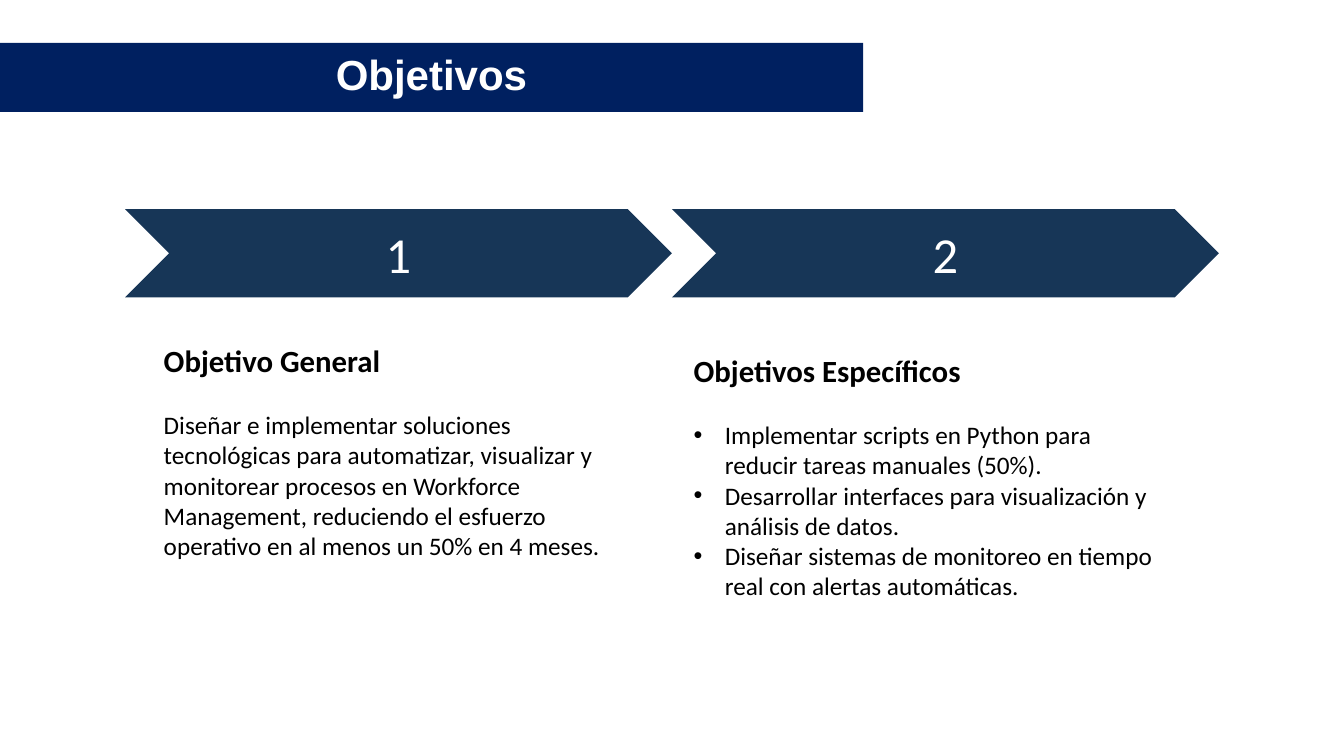
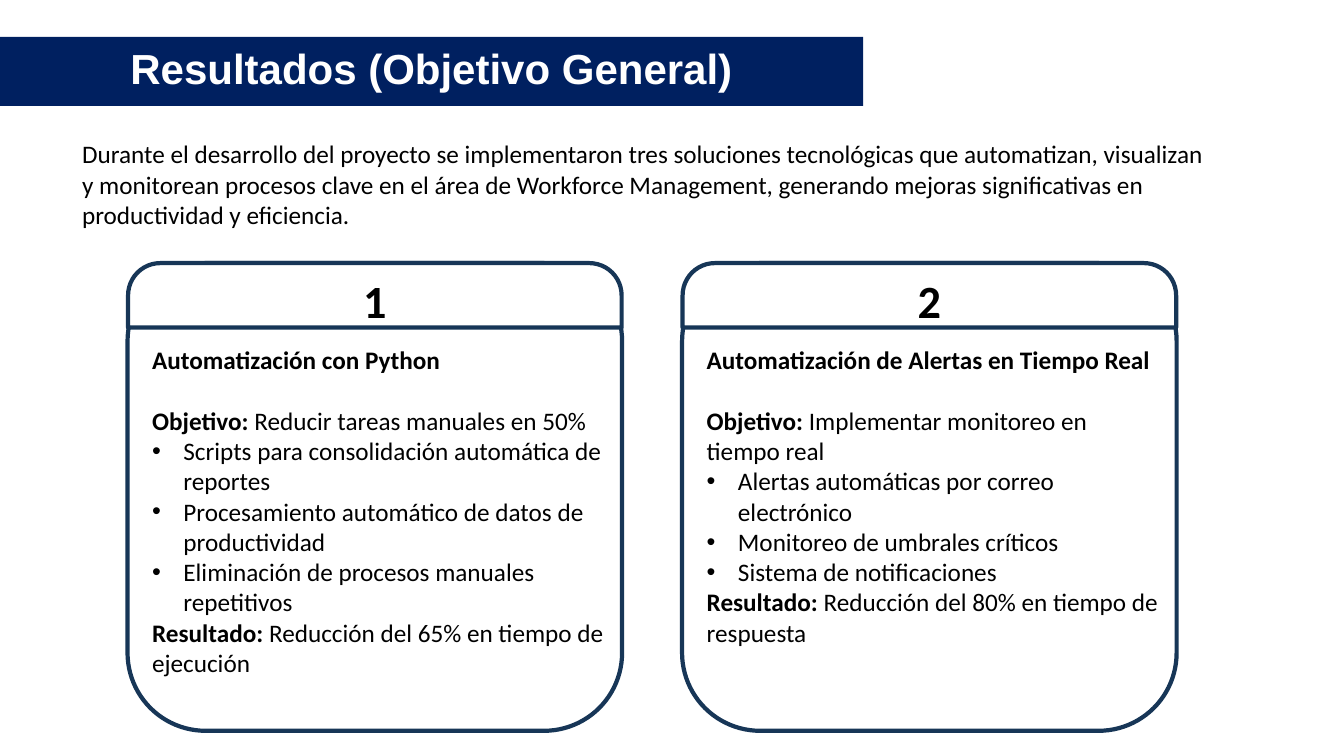
from lxml import etree
from pptx import Presentation
from pptx.dml.color import RGBColor
from pptx.enum import shapes as sh, text as tx
from pptx.oxml import ns
from pptx.util import Inches, Pt

# Shared look
BAND, NAVY, WHITE, BLACK = "002060", "173657", "FFFFFF", "000000"
BODY, HEAD = 36, 44
GAP = 44  # one body line, in points
SHAPE = sh.MSO_SHAPE


def tint(color):
    return RGBColor.from_string(color)


def style(para, size, color=BLACK, bold=False, face="Calibri"):
    font = para.font
    font.name, font.size, font.bold = face, Pt(size), bold
    font.color.rgb = tint(color)


def bullet(para):
    props = para._p.get_or_add_pPr()
    props.set("marL", str(Inches(0.62)))
    props.set("indent", str(Inches(-0.62)))
    etree.SubElement(props, ns.qn("a:buFont")).set("typeface", "Arial")
    etree.SubElement(props, ns.qn("a:buChar")).set("char", "•")


def shape(slide, kind, box, fill=None, line=None):
    item = slide.shapes.add_shape(kind, *map(Inches, box))
    item.shadow.inherit = False
    if fill:
        item.fill.solid()
        item.fill.fore_color.rgb = tint(fill)
    else:
        item.fill.background()
    if line:
        item.line.color.rgb = tint(line)
        item.line.width = Pt(6)
    else:
        item.line.fill.background()
    return item


def label(item, words, size, color, bold=False, face="Calibri"):
    frame = item.text_frame
    frame.vertical_anchor = tx.MSO_ANCHOR.MIDDLE
    para = frame.paragraphs[0]
    para.text = words
    para.alignment = tx.PP_ALIGN.CENTER
    style(para, size, color, bold, face)
    return para


def title(slide, words, top):
    band = shape(slide, SHAPE.RECTANGLE, (0, top, 17.12, 1.37), BAND)
    label(band, words, 60, WHITE, True, "Arial").line_spacing = 0.9


def textbox(slide, box):
    frame = slide.shapes.add_textbox(*map(Inches, box)).text_frame
    frame.word_wrap = True
    return frame


def add(frame, words, size=BODY, bold=False, dot=False, gap=0):
    """Fill the empty first paragraph, or append one."""
    para = frame.paragraphs[0]
    if para.runs:
        para = frame.add_paragraph()
    if dot:
        bullet(para)
    if gap:
        para.space_before = Pt(gap)
    para.add_run().text = words
    style(para, size, bold=bold)
    return para


def pair(frame, name, words, gap=0):
    """A bold name followed by plain words."""
    para = add(frame, name, gap=gap)
    para.runs[0].font.bold = True
    para.add_run().text = " " + words


def goal(slide, num, box, head, lines, dots):
    arrow = shape(slide, SHAPE.CHEVRON,
                  (2.48 + 10.85 * (num - 1), 4.15, 10.85, 1.75), NAVY)
    label(arrow, str(num), 72, WHITE)
    frame = textbox(slide, box)
    add(frame, head, HEAD, True)
    for i, line in enumerate(lines):
        add(frame, line, dot=dots, gap=0 if i else GAP)


def card(slide, num, high, head, aim, steps, result):
    left = 2.53 + 11 * (num - 1)
    shape(slide, SHAPE.ROUNDED_RECTANGLE, (left, 5.22, 9.81, 9.28), line=NAVY)
    cap = shape(slide, SHAPE.ROUND_2_SAME_RECTANGLE,
                (left + 0.01, 5.22, 9.79, 1.28), WHITE, NAVY)
    cap.adjustments[0], cap.adjustments[1] = 0.5, 0
    label(cap, str(num), 66, BLACK, True)
    frame = textbox(slide, (left + 0.39, 6.78, 9.16, high))
    add(frame, head, bold=True)
    pair(frame, "Objetivo:", aim, GAP)
    for step in steps:
        add(frame, step, dot=True)
    pair(frame, "Resultado:", result)


def goals(slide):
    title(slide, "Objetivos", 0.85)
    goal(slide, 1, (3.15, 6.73, 9.5, 4.64), "Objetivo General", [
        "Diseñar e implementar soluciones tecnológicas para automatizar, "
        "visualizar y monitorear procesos en Workforce Management, "
        "reduciendo el esfuerzo operativo en al menos un 50% en 4 meses.",
    ], False)
    goal(slide, 2, (13.66, 6.93, 9.5, 5.15), "Objetivos Específicos", [
        "Implementar scripts en Python para reducir tareas manuales (50%).",
        "Desarrollar interfaces para visualización y análisis de datos.",
        "Diseñar sistemas de monitoreo en tiempo real con alertas automáticas.",
    ], True)


def results(slide):
    title(slide, "Resultados (Objetivo General)", 0.73)
    add(textbox(slide, (1.53, 2.7, 22.59, 1.92)),
        "Durante el desarrollo del proyecto se implementaron tres soluciones "
        "tecnológicas que automatizan, visualizan y monitorean procesos clave "
        "en el área de Workforce Management, generando mejoras significativas "
        "en productividad y eficiencia.")
    card(slide, 1, 7.37, "Automatización con Python",
         "Reducir tareas manuales en 50%",
         ["Scripts para consolidación automática de reportes",
          "Procesamiento automático de datos de productividad",
          "Eliminación de procesos manuales repetitivos"],
         "Reducción del 65% en tiempo de ejecución")
    card(slide, 2, 6.77, "Automatización de Alertas en Tiempo Real",
         "Implementar monitoreo en tiempo real",
         ["Alertas automáticas por correo electrónico",
          "Monitoreo de umbrales críticos",
          "Sistema de notificaciones"],
         "Reducción del 80% en tiempo de respuesta")


def main():
    deck = Presentation()
    deck.slide_width, deck.slide_height = Inches(26.66), Inches(15)
    for build in (goals, results):
        build(deck.slides.add_slide(deck.slide_layouts[6]))
    deck.save("out.pptx")


if __name__ == "__main__":
    main()
